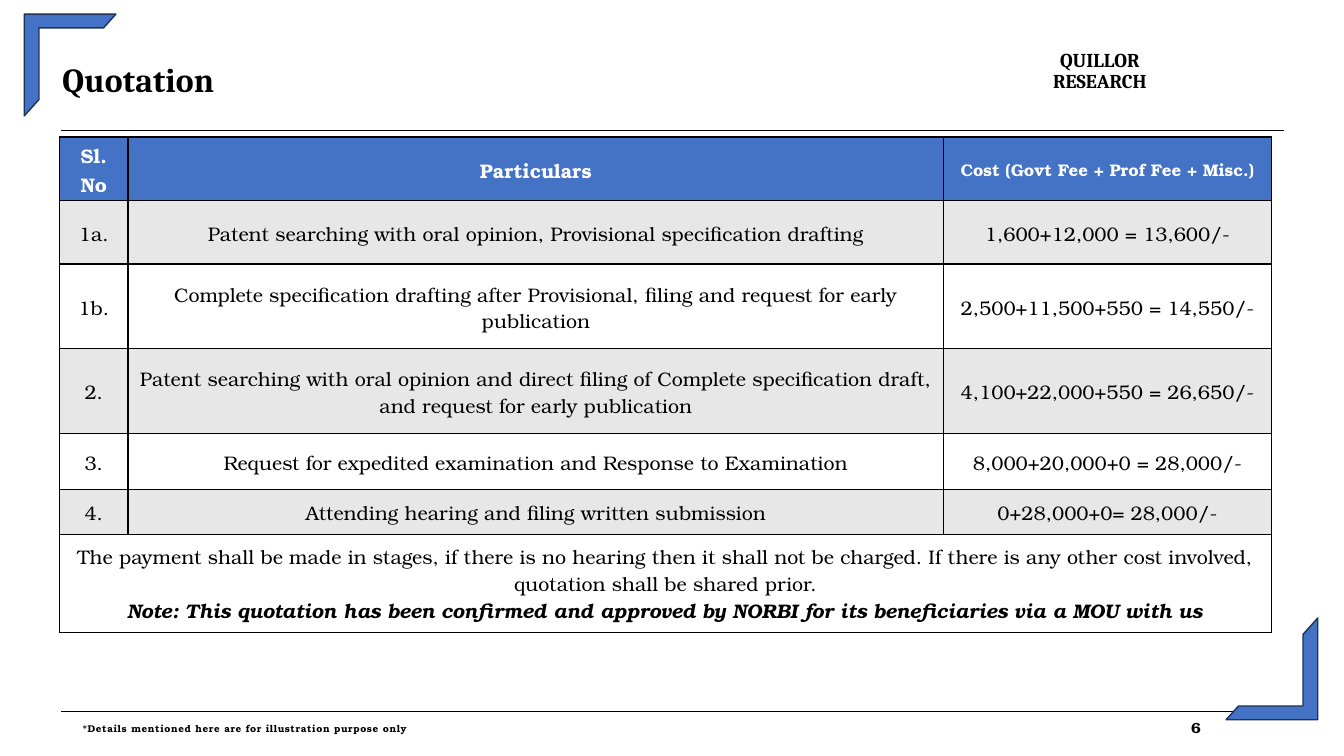
from lxml.etree import SubElement
from pptx import Presentation
from pptx.dml.color import RGBColor
from pptx.enum.shapes import MSO_CONNECTOR as Connector, MSO_SHAPE as Shape
from pptx.enum.text import MSO_ANCHOR as Anchor, PP_ALIGN as Align
from pptx.oxml import parse_xml
from pptx.oxml.ns import nsdecls, qn
from pptx.util import Inches, Pt

WIDTH, HEIGHT = 13.33, 7.5
HEADING, BODY = "Cambria", "TeX Gyre Bonum"
BLACK, WHITE, BLUE, NAVY, GREY = "000000", "FFFFFF", "4472C4", "1E3256", "E7E7E7"

HEADERS = ("Sl. No", "Particulars", "Cost (Govt Fee + Prof Fee + Misc.)")
QUOTES = [
    ("1a.", "Patent searching with oral opinion, Provisional specification drafting",
     "1,600+12,000 = 13,600/-"),
    ("1b.", "Complete specification drafting after Provisional, filing and request for early publication",
     "2,500+11,500+550 = 14,550/-"),
    ("2.", "Patent searching with oral opinion and direct filing of Complete specification draft, "
     "and request for early publication", "4,100+22,000+550 = 26,650/-"),
    ("3.", "Request for expedited examination and Response to Examination",
     "8,000+20,000+0 = 28,000/-"),
    ("4.", "Attending hearing and filing written submission", "0+28,000+0= 28,000/-"),
]
TERMS = ("The payment shall be made in stages, if there is no hearing then it shall not be charged. "
         "If there is any other cost involved, quotation shall be shared prior.\n"
         "Note: This quotation has been confirmed and approved by NORBI for its beneficiaries "
         "via a MOU with us")
COLUMNS = (0.68, 8.09, 3.25)
ROWS = (0.63, 0.63, 0.84, 0.84, 0.56, 0.44, 0.98)

LEFT, RIGHT = 0.61, 12.73
RULES = [(1.29, 0.72), (7.06, 0.48)]
CORNER = (0.91, 1.01)
CORNERS = [(0.24, 0.14, 0), (12.16, 6.13, 180)]
LABELS = [
    ("Quotation", (0.62, 0.64, 6, 0.4), HEADING, 24, Align.LEFT, Anchor.TOP, 0.87, 10),
    ("QUILLOR\nRESEARCH", (10.31, 0.51, 1.2, 0.43), HEADING, 14, Align.CENTER, Anchor.TOP, 0.87, 0),
    ("*Details mentioned here are for illustration purpose only", (0.82, 7.12, 6, 0.22),
     BODY, 7, Align.LEFT, Anchor.MIDDLE, 1, 45),
    ("6", (10.91, 7.11, 1, 0.22), BODY, 10.5, Align.RIGHT, Anchor.MIDDLE, 1, 0),
]


def color(value):
    return RGBColor.from_string(value)


def style(para, name, size, fill=BLACK, bold=False, italic=False, align=Align.CENTER):
    para.alignment = align
    for span in para.runs:
        font = span.font
        font.name, font.size, font.bold, font.italic = name, Pt(size), bold, italic
        font.color.rgb = color(fill)


def add_label(page, text, place, name, size, align, anchor, spacing, tracking):
    frame = page.shapes.add_textbox(*map(Inches, place)).text_frame
    frame.margin_left = frame.margin_right = frame.margin_top = frame.margin_bottom = 0
    frame.word_wrap, frame.vertical_anchor = True, anchor
    frame.text = text
    for para in frame.paragraphs:
        para.line_spacing = spacing
        style(para, name, size, bold=True, align=align)
        for span in para.runs:
            span._r.get_or_add_rPr().set("spc", str(tracking))


def add_rule(page, top, weight):
    rule = page.shapes.add_connector(Connector.STRAIGHT, *map(Inches, (LEFT, top, RIGHT, top)))
    rule.line.color.rgb, rule.line.width = color(BLACK), Pt(weight)
    SubElement(rule._element.spPr, qn("a:effectLst"))


def add_corner(page, left, top, rotation):
    corner = page.shapes.add_shape(Shape.HALF_FRAME, *map(Inches, (left, top, *CORNER)))
    corner.adjustments[0], corner.adjustments[1] = 0.15, 0.161
    corner.rotation, corner.shadow.inherit = rotation, False
    corner.fill.solid()
    corner.fill.fore_color.rgb = color(BLUE)
    corner.line.color.rgb, corner.line.width = color(NAVY), Pt(1)


def paint_cell(cell, fill):
    cell.fill.solid()
    cell.fill.fore_color.rgb = color(fill)
    cell.vertical_anchor = Anchor.MIDDLE
    cell.margin_top, cell.margin_bottom = Inches(0.04), Inches(0.02)
    for index, side in enumerate("LRTB"):
        cell._tc.get_or_add_tcPr().insert(index, parse_xml(
            f'<a:ln{side} {nsdecls("a")} w="12700"><a:solidFill>'
            f'<a:srgbClr val="{BLACK}"/></a:solidFill></a:ln{side}>'))


def add_quotes(page):
    place = (0.59, 1.36, sum(COLUMNS), sum(ROWS))
    table = page.shapes.add_table(len(ROWS), len(COLUMNS), *map(Inches, place)).table
    table.first_row = table.horz_banding = False
    for column, width in zip(table.columns, COLUMNS):
        column.width = Inches(width)
    for row, height in zip(table.rows, ROWS):
        row.height = Inches(height)
    last = len(ROWS) - 1
    table.cell(last, 0).merge(table.cell(last, len(COLUMNS) - 1))
    for r, texts in enumerate([HEADERS, *QUOTES, (TERMS, "", "")]):
        header = r == 0
        for c, text in enumerate(texts):
            cell = table.cell(r, c)
            paint_cell(cell, BLUE if header else GREY if r % 2 else WHITE)
            if not text:
                continue
            cell.text_frame.text = text
            for number, para in enumerate(cell.text_frame.paragraphs):
                note = number > 0
                style(para, BODY, 12 if header and c == 2 else 14,
                      WHITE if header else BLACK, header or note, note)


def main():
    """Build the quotation slide and save it."""
    deck = Presentation()
    deck.slide_width, deck.slide_height = Inches(WIDTH), Inches(HEIGHT)
    page = deck.slides.add_slide(deck.slide_layouts[6])
    for rule in RULES:
        add_rule(page, *rule)
    add_quotes(page)
    for corner in CORNERS:
        add_corner(page, *corner)
    for label in LABELS:
        add_label(page, *label)
    deck.save("out.pptx")


if __name__ == "__main__":
    main()
